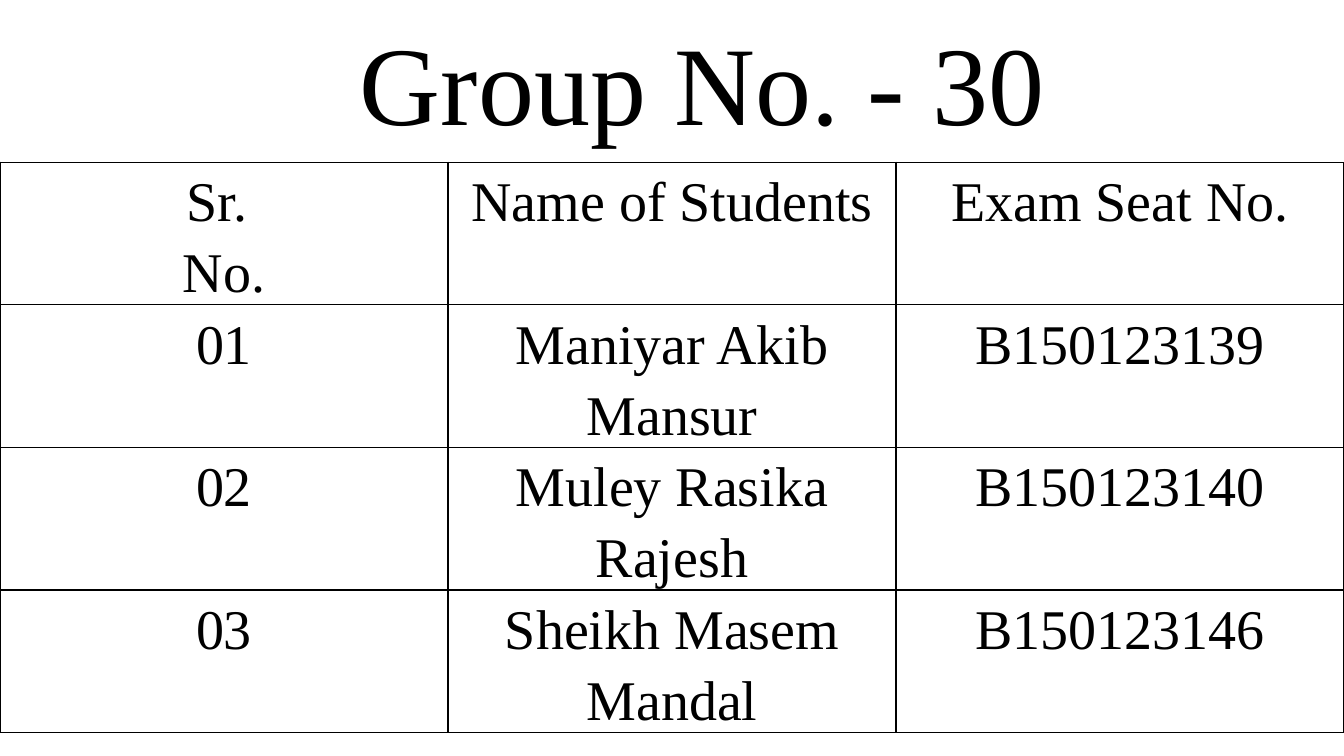
import dataclasses

import pptx
import pptx.dml.color
import pptx.enum.text
import pptx.oxml
import pptx.oxml.ns
import pptx.slide
import pptx.table
import pptx.text.text
import pptx.util

BLACK = pptx.dml.color.RGBColor(0x00, 0x00, 0x00)
WHITE = pptx.dml.color.RGBColor(0xFF, 0xFF, 0xFF)
FONT = "Times New Roman"
SLIDE_WIDTH = pptx.util.Inches(13.33)
SLIDE_HEIGHT = pptx.util.Inches(7.5)
TABLE_TOP = pptx.util.Inches(1.61)
ROW_HEIGHT = pptx.util.Inches(1.41)
SIDE_MARGIN = pptx.util.Inches(0.07)
BORDER_WIDTH = pptx.util.Pt(1)


@dataclasses.dataclass(frozen=True)
class Entry:
    number: str
    name: str
    seat: str


ENTRIES = [
    Entry("Sr. \nNo.", "Name of Students", "Exam Seat No."),
    Entry("01", "Maniyar Akib Mansur", "B150123139"),
    Entry("02", "Muley Rasika Rajesh", "B150123140"),
    Entry("03", "Sheikh Masem Mandal", "B150123146"),
]


def format_paragraph(
    p: pptx.text.text._Paragraph,
    size: int,
    spacing: float,
    align: pptx.enum.text.PP_ALIGN,
) -> None:
    p.alignment = align
    p.line_spacing = spacing
    p.font.name = FONT
    p.font.size = pptx.util.Pt(size)
    p.font.color.rgb = BLACK


def add_borders(cell: pptx.table._Cell) -> None:
    tc_pr = cell._tc.get_or_add_tcPr()
    for index, side in enumerate(("lnL", "lnR", "lnT", "lnB")):
        line = pptx.oxml.parse_xml(
            f'<a:{side} {pptx.oxml.ns.nsdecls("a")} w="{int(BORDER_WIDTH)}">'
            f'<a:solidFill><a:srgbClr val="{BLACK}"/></a:solidFill></a:{side}>'
        )
        tc_pr.insert(index, line)


def fill_cell(cell: pptx.table._Cell, text: str) -> None:
    cell.margin_left = cell.margin_right = SIDE_MARGIN
    cell.margin_top = cell.margin_bottom = 0
    cell.fill.solid()
    cell.fill.fore_color.rgb = WHITE
    add_borders(cell)
    tf = cell.text_frame
    tf.text = text
    for p in tf.paragraphs:
        format_paragraph(p, 40, 1.15, pptx.enum.text.PP_ALIGN.CENTER)


def add_title(slide: pptx.slide.Slide, text: str) -> None:
    sp = slide.shapes.title
    sp.left, sp.top = pptx.util.Inches(3.47), pptx.util.Inches(0.16)
    sp.width, sp.height = pptx.util.Inches(11.5), pptx.util.Inches(1.45)
    tf = sp.text_frame
    tf.text = text
    tf.auto_size = pptx.enum.text.MSO_AUTO_SIZE.NONE
    tf.vertical_anchor = pptx.enum.text.MSO_ANCHOR.MIDDLE
    format_paragraph(tf.paragraphs[0], 80, 0.9, pptx.enum.text.PP_ALIGN.LEFT)


def add_student_table(slide: pptx.slide.Slide, entries: list[Entry]) -> None:
    column_count = len(dataclasses.fields(Entry))
    frame = slide.shapes.add_table(
        len(entries), column_count, 0, TABLE_TOP,
        SLIDE_WIDTH, ROW_HEIGHT * len(entries),
    )
    table = frame.table
    table.first_row = False
    table.horz_banding = False
    for row, entry in zip(table.rows, entries):
        for cell, text in zip(row.cells, dataclasses.astuple(entry)):
            fill_cell(cell, text)


def main() -> None:
    prs = pptx.Presentation()
    prs.slide_width = SLIDE_WIDTH
    prs.slide_height = SLIDE_HEIGHT
    slide = prs.slides.add_slide(prs.slide_layouts[5])
    add_title(slide, "Group No. - 30")
    add_student_table(slide, ENTRIES)
    prs.save("out.pptx")


if __name__ == "__main__":
    main()
